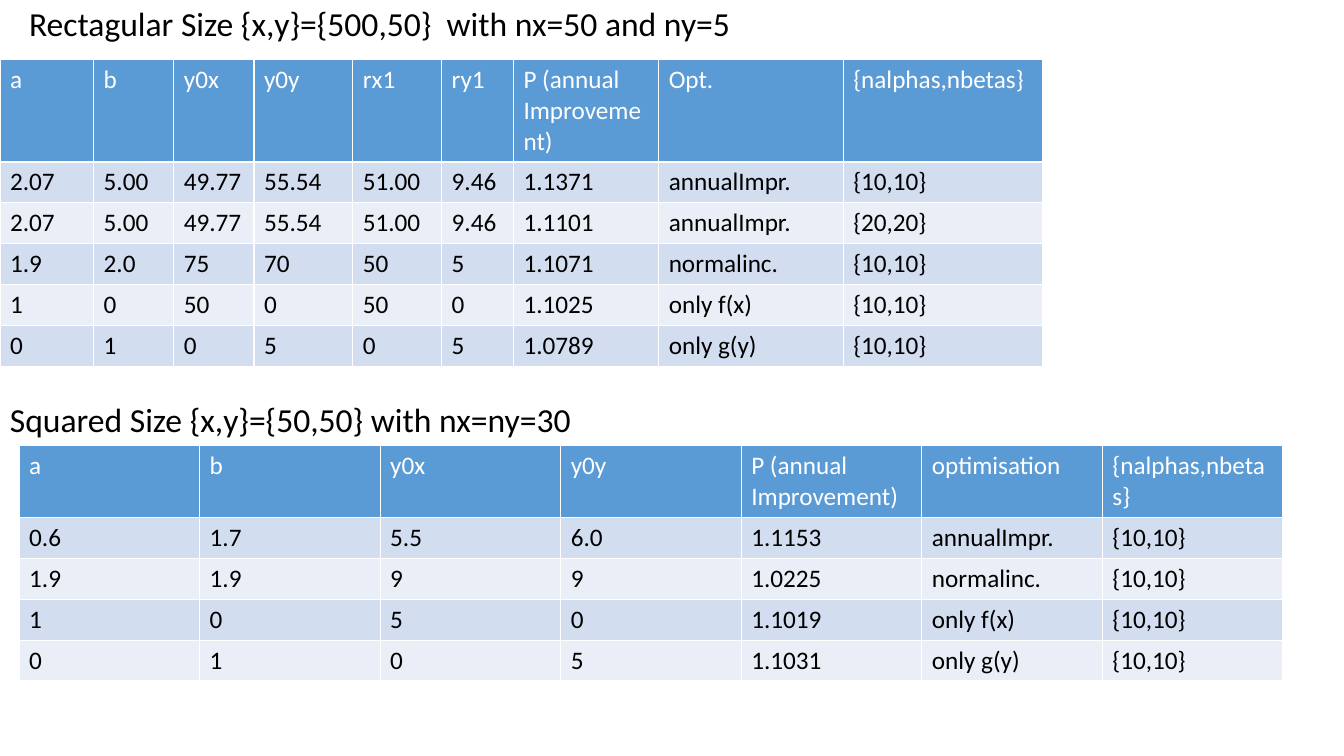
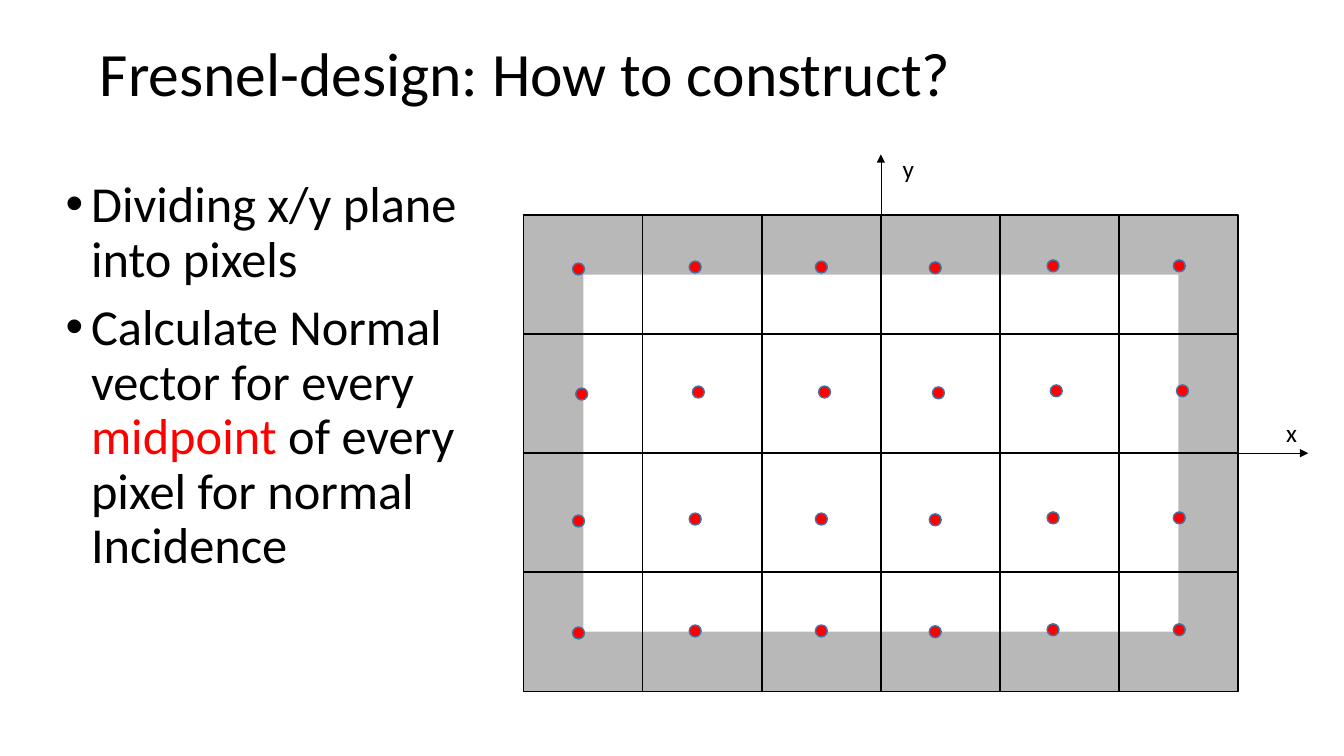
from dataclasses import dataclass

from lxml import etree
from pptx import Presentation
from pptx.dml.color import RGBColor
from pptx.enum import shapes, text
from pptx.oxml.ns import qn
from pptx.util import Cm, Pt


@dataclass(frozen=True)
class Theme:
    font: str = "Calibri"
    black: RGBColor = RGBColor(0, 0, 0)
    white: RGBColor = RGBColor(255, 255, 255)
    header: RGBColor = RGBColor(0x5B, 0x9B, 0xD5)
    bands: tuple = (RGBColor(0xD2, 0xDE, 0xEF), RGBColor(0xEA, 0xEF, 0xF7))
    red: RGBColor = RGBColor(255, 0, 0)
    dot_line: RGBColor = RGBColor(0x43, 0x73, 0x9E)
    title: int = 44
    body: int = 36
    heading: int = 24
    small: int = 18


theme = Theme()


def style(paragraph, size, color=theme.black, spacing=None):
    font = paragraph.font
    font.name, font.size, font.bold = theme.font, Pt(size), False
    font.color.rgb = color
    paragraph.alignment = text.PP_ALIGN.LEFT
    paragraph.line_spacing = spacing


def put_text(box, place, words, size, anchor=text.MSO_ANCHOR.MIDDLE, wrap=True):
    box.left, box.top, box.width, box.height = map(Cm, place)
    frame = box.text_frame
    frame.auto_size = text.MSO_AUTO_SIZE.NONE
    frame.word_wrap, frame.vertical_anchor = wrap, anchor
    frame.text = words
    for paragraph in frame.paragraphs:
        style(paragraph, size, spacing=0.9)
    return frame


prs = Presentation()
prs.slide_width, prs.slide_height = Cm(33.87), Cm(19.05)
content_layout, title_layout = prs.slide_layouts[1], prs.slide_layouts[5]

# Slide 1: results for both sizes
results = prs.slides.add_slide(title_layout)
put_text(results.shapes.title, (0.48, -0.23, 29.16, 1.73),
         "Rectagular Size {x,y}={500,50}  with nx=50 and ny=5", theme.heading)
put_text(results.shapes.add_textbox(0, 0, 0, 0), (0, 8.79, 29.21, 3.68),
         "Squared Size {x,y}={50,50} with nx=ny=30", theme.heading)

rectangular = [
    ["a", "b", "y0x", "y0y", "rx1", "ry1", "P (annual Improvement)", "Opt.", "{nalphas,nbetas}"],
    ["2.07", "5.00", "49.77", "55.54", "51.00", "9.46", "1.1371", "annualImpr.", "{10,10}"],
    ["2.07", "5.00", "49.77", "55.54", "51.00", "9.46", "1.1101", "annualImpr.", "{20,20}"],
    ["1.9", "2.0", "75", "70", "50", "5", "1.1071", "normalinc.", "{10,10}"],
    ["1", "0", "50", "0", "50", "0", "1.1025", "only f(x)", "{10,10}"],
    ["0", "1", "0", "5", "0", "5", "1.0789", "only g(y)", "{10,10}"],
]
squared = [
    ["a", "b", "y0x", "y0y", "P (annual Improvement)", "optimisation", "{nalphas,nbetas}"],
    ["0.6", "1.7", "5.5", "6.0", "1.1153", "annualImpr.", "{10,10}"],
    ["1.9", "1.9", "9", "9", "1.0225", "normalinc.", "{10,10}"],
    ["1", "0", "5", "0", "1.1019", "only f(x)", "{10,10}"],
    ["0", "1", "0", "5", "1.1031", "only g(y)", "{10,10}"],
]
rectangular_widths = [2.36, 2.02, 2.02, 2.49, 2.24, 1.81, 3.66, 4.65, 5.03]
row_height = 1.03
for rows, widths, left, top, header_height in (
    (rectangular, rectangular_widths, 0, 1.5, 2.57),
    (squared, [4.55] * 7, 0.48, 11.23, 1.81),
):
    height = header_height + row_height * (len(rows) - 1)
    table = results.shapes.add_table(len(rows), len(widths), Cm(left), Cm(top),
                                     Cm(sum(widths)), Cm(height)).table
    for column, width in zip(table.columns, widths):
        column.width = Cm(width)
    for r, row in enumerate(rows):
        table.rows[r].height = Cm(row_height if r else header_height)
        for c, value in enumerate(row):
            cell = table.cell(r, c)
            cell.text = value
            cell.fill.solid()
            cell.fill.fore_color.rgb = theme.bands[(r - 1) % 2] if r else theme.header
            style(cell.text_frame.paragraphs[0], theme.small,
                  theme.black if r else theme.white)

# Slide 2: construction steps
design = prs.slides.add_slide(content_layout)
put_text(design.shapes.title, (2.26, 0.08, 29.21, 3.68),
         "Fresnel-design: How to construct?", theme.title)
steps = put_text(design.placeholders[1], (1.4, 4.39, 11.79, 12.09),
                 "Dividing x/y plane into pixels\nCalculate Normal vector for every ",
                 theme.body, text.MSO_ANCHOR.TOP)
midpoint = steps.paragraphs[1].add_run()
midpoint.text = "midpoint"
midpoint.font.color.rgb = theme.red
steps.paragraphs[1].add_run().text = " of every pixel for normal Incidence"
for step in steps.paragraphs:
    step.space_before = Pt(10)
    props = step._p.get_or_add_pPr()
    props.set("marL", str(Cm(0.64)))
    props.set("indent", str(-Cm(0.64)))
    bullet_font = etree.SubElement(props, qn("a:buFont"), typeface="Arial")
    bullet_font.addnext(etree.Element(qn("a:buChar"), char="•"))
    # Bullet settings precede the default run properties
    props.append(props.find(qn("a:defRPr")))

# Pixel grid
grid_left, grid_top, pixel, columns, lines = 13.2, 5.42, 3.0, 6, 4
for row in range(lines):
    for col in range(columns):
        square = design.shapes.add_shape(
            shapes.MSO_SHAPE.RECTANGLE, Cm(grid_left + col * pixel),
            Cm(grid_top + row * pixel), Cm(pixel), Cm(pixel))
        square.shadow.inherit = False
        square.fill.solid()
        square.fill.fore_color.rgb = theme.white
        square.line.color.rgb = theme.black
        square.line.width = Pt(1)

# Axes and their labels
center_x = grid_left + columns * pixel / 2
center_y = grid_top + lines * pixel / 2
for name, start, end, label_place in (
    ("y", (center_x, 6.96), (center_x, 3.89), (22.5, 3.73, 0.81, 1.02)),
    ("x", (29.92, center_y), (32.97, center_y), (32.16, 10.39, 0.79, 1.02)),
):
    axis = design.shapes.add_connector(shapes.MSO_CONNECTOR.STRAIGHT,
                                       *map(Cm, start + end))
    axis.line.color.rgb = theme.black
    axis.line.width = Pt(0.5)
    etree.SubElement(axis.line._get_or_add_ln(), qn("a:tailEnd"), type="triangle")
    etree.SubElement(axis._element.spPr, qn("a:effectLst"))
    label = put_text(design.shapes.add_textbox(0, 0, 0, 0), label_place, name,
                     theme.small, text.MSO_ANCHOR.TOP, wrap=False)
    label.paragraphs[0].line_spacing = 1.0

# Shaded border
border = design.shapes.add_shape(shapes.MSO_SHAPE.FRAME, Cm(grid_left), Cm(grid_top),
                                 Cm(columns * pixel), Cm(lines * pixel))
border.shadow.inherit = False
border.fill.solid()
border.fill.fore_color.rgb = theme.black
border.line.fill.background()
shade = border._element.spPr.find(qn("a:solidFill"))[0]
etree.SubElement(shade, qn("a:alpha"), val="28000")

# Midpoints: (left, drop) per column, (top, shift) per row
dot = 0.3
dot_columns = [(14.43, 0.08), (17.37, 0.03), (20.55, 0.03),
               (23.42, 0.05), (26.39, 0), (29.57, 0)]
dot_rows = [(6.55, 0), (9.7, 0.08), (12.9, 0), (15.72, 0)]
for top, shift in dot_rows:
    for left, drop in dot_columns:
        point = design.shapes.add_shape(shapes.MSO_SHAPE.OVAL, Cm(left + shift),
                                        Cm(top + drop), Cm(dot), Cm(dot))
        point.shadow.inherit = False
        point.fill.solid()
        point.fill.fore_color.rgb = theme.red
        point.line.color.rgb = theme.dot_line
        point.line.width = Pt(1)

prs.save("out.pptx")
